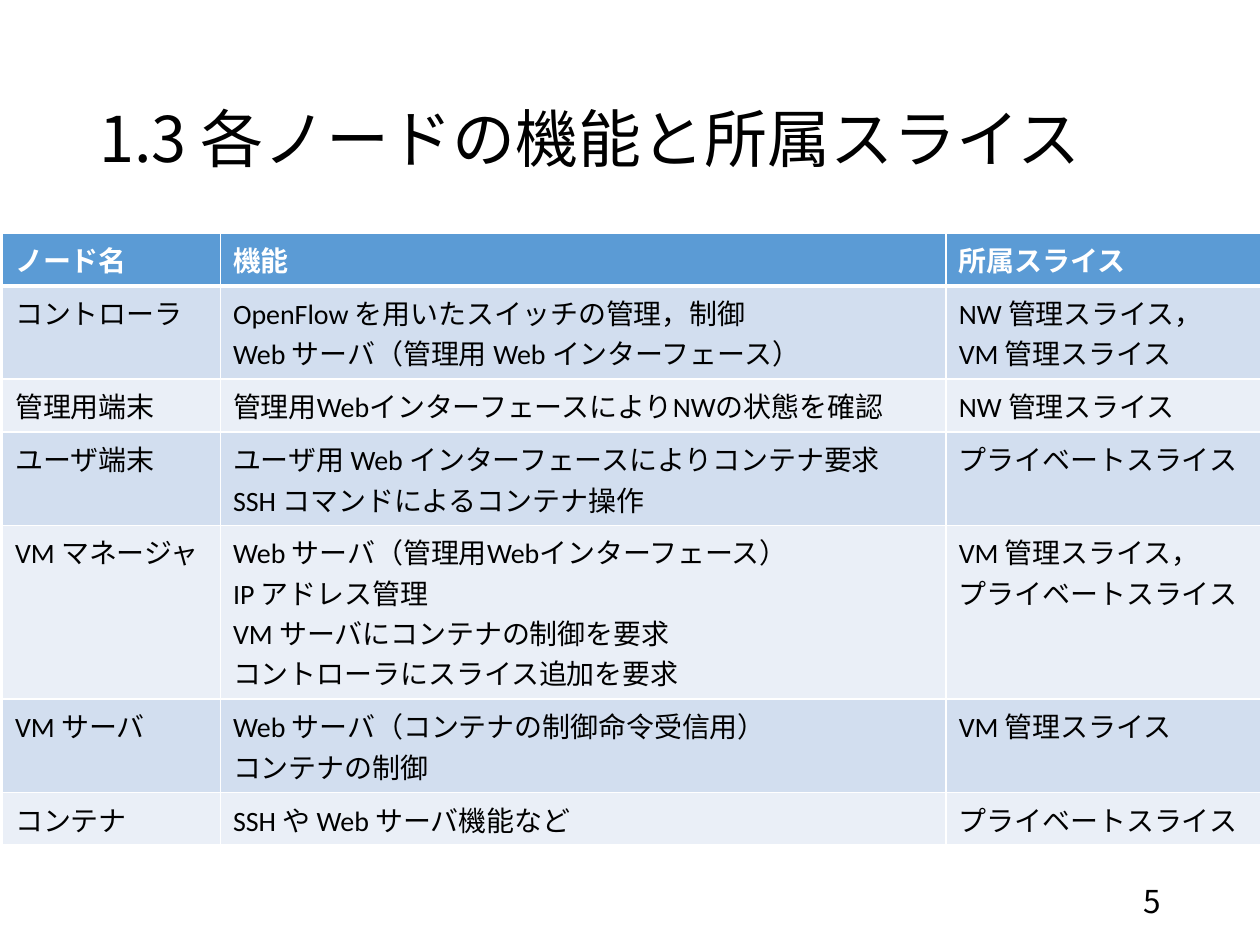
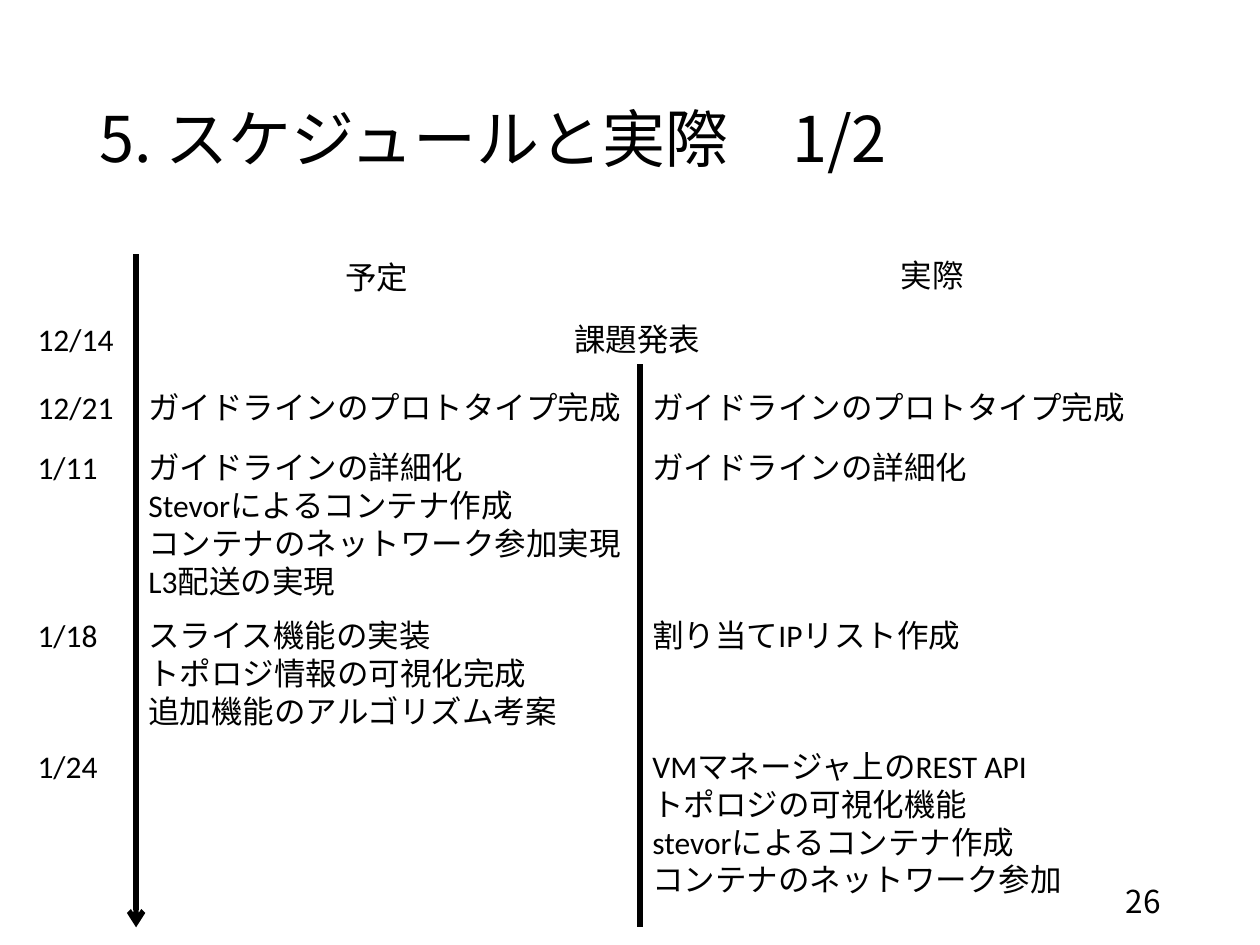
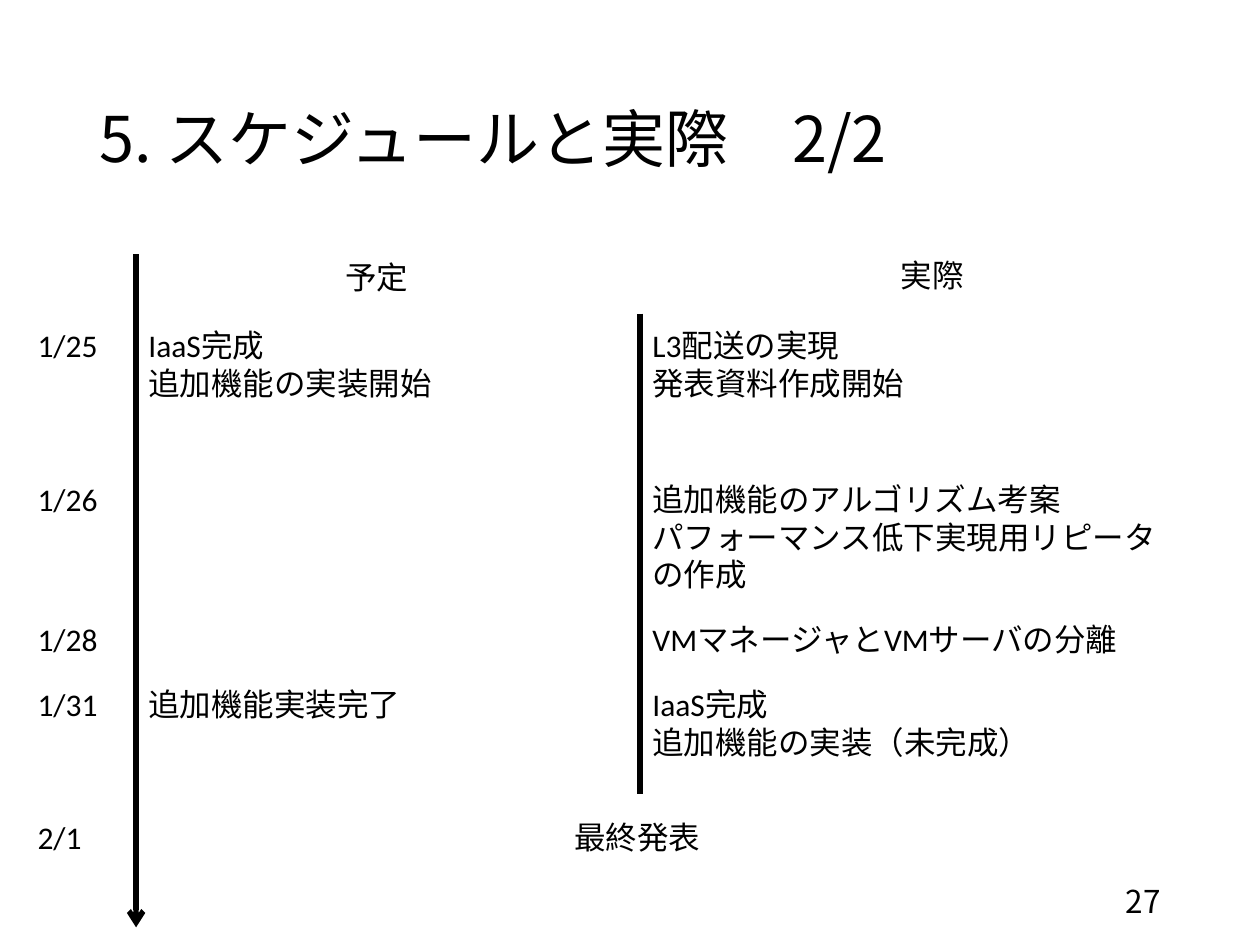
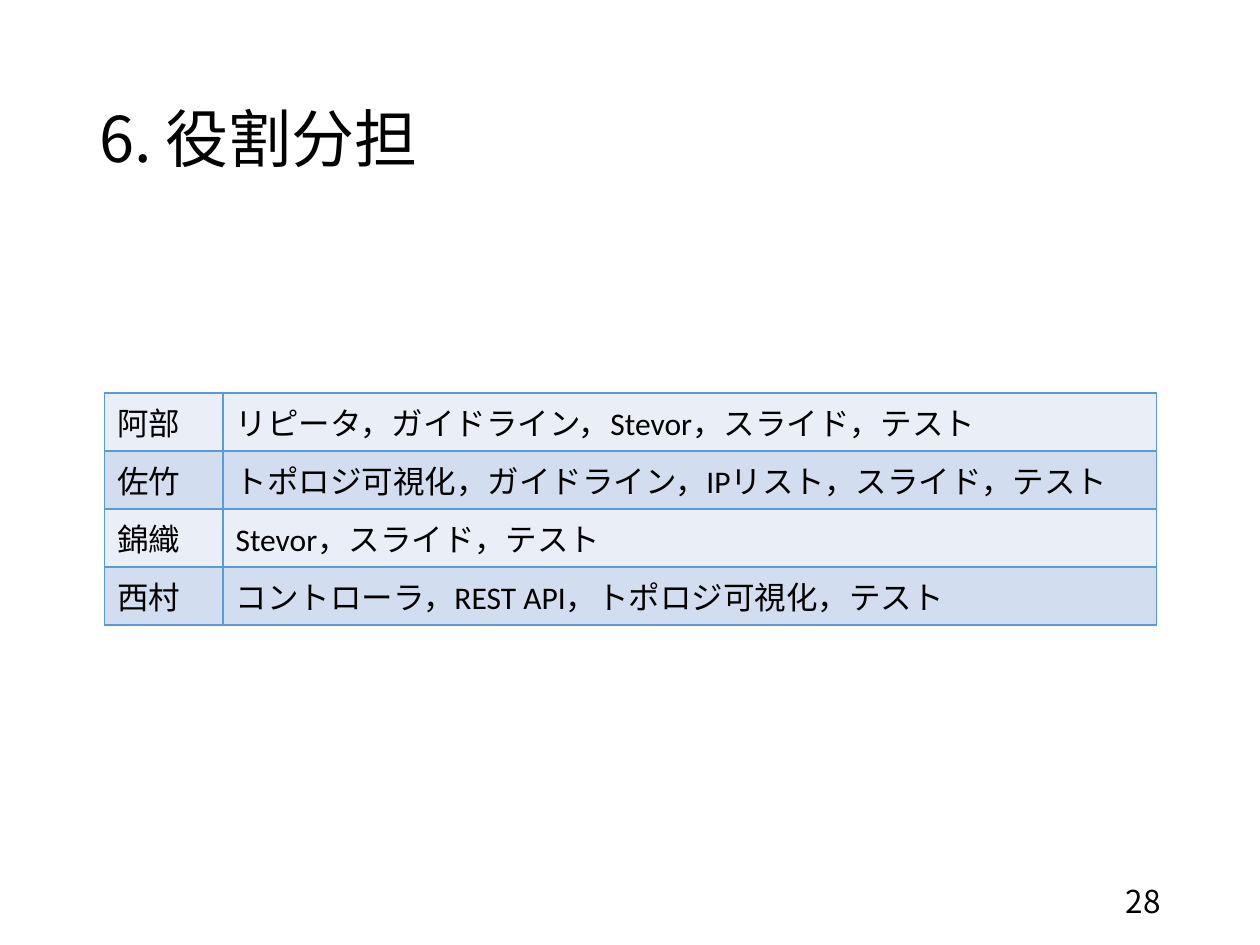
from lxml.etree import SubElement
from pptx import Presentation
from pptx.dml.color import RGBColor
from pptx.enum.shapes import MSO_CONNECTOR as Connector
from pptx.enum.text import MSO_ANCHOR as Anchor, MSO_AUTO_SIZE as AutoSize, PP_ALIGN as Align
from pptx.oxml.ns import qn
from pptx.util import Inches, Pt

# Slide grid: 10 columns by 7.5 rows of square cells
CELL = Inches(1)
COLUMNS, ROWS = 10, 7.5

BLACK = RGBColor(0x00, 0x00, 0x00)
WHITE = RGBColor(0xFF, 0xFF, 0xFF)
BLUE = RGBColor(0x5B, 0x9B, 0xD5)
BAND_DARK = RGBColor(0xD2, 0xDE, 0xEF)
BAND_LIGHT = RGBColor(0xEA, 0xEF, 0xF7)

BODY_FONT = "Calibri"
JAPANESE_FONT = "Noto Sans CJK JP"

# Columns of the schedule
DATE_X, PLAN_X, ACTUAL_X, MILESTONE_X = 0.2, 1.08, 5.08, 4.46
LABEL_WIDTH, PLAN_WIDTH, ACTUAL_WIDTH = 1.24, 4, 4.33
SCHEDULE_TOP, SCHEDULE_BOTTOM = 2.02, 7.36

# "\n" starts a paragraph, "\v" breaks a line within one
NODES = [
    ("ノード名", "機能", "所属スライス"),
    ("コントローラ",
     "OpenFlow を用いたスイッチの管理，制御\nWeb サーバ（管理用 Web インターフェース）",
     "NW 管理スライス，\vVM 管理スライス"),
    ("管理用端末", "管理用WebインターフェースによりNWの状態を確認", "NW 管理スライス"),
    ("ユーザ端末",
     "ユーザ用 Web インターフェースによりコンテナ要求\nSSH コマンドによるコンテナ操作",
     "プライベートスライス"),
    ("VM マネージャ",
     "Web サーバ（管理用Webインターフェース）\nIP アドレス管理\n"
     "VM サーバにコンテナの制御を要求\nコントローラにスライス追加を要求",
     "VM 管理スライス，\vプライベートスライス"),
    ("VM サーバ", "Web サーバ（コンテナの制御命令受信用）\nコンテナの制御", "VM 管理スライス"),
    ("コンテナ", "SSH や Web サーバ機能など", "プライベートスライス"),
]

# Row on the grid, date, planned work, actual work
DECEMBER_EVENTS = [
    (3.03, "12/21", "ガイドラインのプロトタイプ完成", "ガイドラインのプロトタイプ完成"),
    (3.51, "1/11",
     "ガイドラインの詳細化\vStevorによるコンテナ作成\nコンテナのネットワーク参加実現L3配送の実現",
     "ガイドラインの詳細化"),
    (4.84, "1/18",
     "スライス機能の実装\nトポロジ情報の可視化完成\n追加機能のアルゴリズム考案",
     "割り当てIPリスト作成"),
    (5.88, "1/24", "",
     "VMマネージャ上のREST API\vトポロジの可視化機能\v"
     "stevorによるコンテナ作成\vコンテナのネットワーク参加"),
]
JANUARY_EVENTS = [
    (2.54, "1/25", "IaaS完成\n追加機能の実装開始", "L3配送の実現\n発表資料作成開始"),
    (3.76, "1/26", "",
     "追加機能のアルゴリズム考案\nパフォーマンス低下実現用リピータの作成"),
    (4.87, "1/28", "", "VMマネージャとVMサーバの分離"),
    (5.39, "1/31", "追加機能実装完了", "IaaS完成\v追加機能の実装（未完成）"),
]

MEMBERS = [
    ("阿部", "リピータ，ガイドライン，Stevor，スライド，テスト"),
    ("佐竹", "トポロジ可視化，ガイドライン，IPリスト，スライド，テスト"),
    ("錦織", "Stevor，スライド，テスト"),
    ("西村", "コントローラ，REST API，トポロジ可視化，テスト"),
]


def grid(length):
    return int(length * CELL)


def count_lines(text):
    return 1 + text.count("\n") + text.count("\v")


def write(frame, text, size, font=BODY_FONT, color=BLACK, bold=False,
          align=Align.LEFT, spacing=None):
    frame.text = text
    for paragraph in frame.paragraphs:
        paragraph.alignment = align
        paragraph.line_spacing = spacing
        for run in paragraph.runs:
            run.font.size = Pt(size)
            run.font.name = font
            run.font.bold = bold
            run.font.color.rgb = color
            SubElement(run.font._element, qn("a:ea"), typeface=JAPANESE_FONT)


def add_text(slide, x, y, width, height, text, size=18, anchor=Anchor.TOP, **style):
    frame = slide.shapes.add_textbox(*map(grid, (x, y, width, height))).text_frame
    frame.word_wrap = True
    frame.vertical_anchor = anchor
    write(frame, text, size, **style)
    return frame


def add_note(slide, x, y, width, text):
    frame = add_text(slide, x, y, width, 0.1 + 0.3 * count_lines(text), text)
    frame.auto_size = AutoSize.SHAPE_TO_FIT_TEXT


def add_page(deck, title, number):
    """Blank slide with the shared title and page number."""
    slide = deck.slides.add_slide(deck.slide_layouts[6])
    add_text(slide, 0.69, 0.4, 8.62, 1.45, title, 36, Anchor.MIDDLE,
             font=JAPANESE_FONT, spacing=0.9)
    add_text(slide, 7.06, 6.95, 2.25, 0.4, str(number), 18, Anchor.MIDDLE,
             font=JAPANESE_FONT, align=Align.RIGHT)
    return slide


def add_rule(slide, x, top, bottom, arrow=False):
    rule = slide.shapes.add_connector(
        Connector.STRAIGHT, *map(grid, (x, top, x, bottom)))
    rule.line.color.rgb = BLACK
    rule.line.width = Pt(3)
    if arrow:
        SubElement(rule.line._get_or_add_ln(), qn("a:tailEnd"), type="arrow")
    SubElement(rule._element.spPr, qn("a:effectLst"))


def set_borders(cell, color, top=1, bottom=1):
    properties = cell._tc.get_or_add_tcPr()
    for side, width in (("L", 1), ("R", 1), ("T", top), ("B", bottom)):
        border = SubElement(properties, qn("a:ln" + side), w=str(Pt(width)))
        fill = SubElement(border, qn("a:solidFill"))
        SubElement(fill, qn("a:srgbClr"), val=str(color))


def add_banded_table(slide, x, y, widths, rows, size, border, header=False):
    heights = [0.1 + 0.02 * size * max(map(count_lines, row)) for row in rows]
    table = slide.shapes.add_table(
        len(rows), len(widths), *map(grid, (x, y, sum(widths), sum(heights)))).table
    table.first_row = header
    for column, width in zip(table.columns, widths):
        column.width = grid(width)
    for r, (row, height) in enumerate(zip(rows, heights)):
        table.rows[r].height = grid(height)
        heading = header and r == 0
        band = BLUE if heading else (BAND_LIGHT, BAND_DARK)[r % 2]
        for c, text in enumerate(row):
            cell = table.cell(r, c)
            # The rule under the heading is thicker
            set_borders(cell, border, top=3 if header and r == 1 else 1,
                        bottom=3 if heading else 1)
            cell.fill.solid()
            cell.fill.fore_color.rgb = band
            write(cell.text_frame, text, size, bold=heading,
                  color=WHITE if heading else BLACK)


def add_schedule(slide, events, divider, milestone):
    # Time axis, divider and column headings
    add_rule(slide, PLAN_X, SCHEDULE_TOP, SCHEDULE_BOTTOM, arrow=True)
    add_rule(slide, ACTUAL_X, *divider)
    add_note(slide, 2.64, 2, LABEL_WIDTH, "予定")
    add_note(slide, 7.05, 1.98, LABEL_WIDTH, "実際")
    # Milestone shared by both columns
    y, date, event = milestone
    add_note(slide, DATE_X, y, LABEL_WIDTH, date)
    add_note(slide, MILESTONE_X, y, LABEL_WIDTH, event)
    # Dated work
    for y, date, planned, actual in events:
        add_note(slide, DATE_X, y, LABEL_WIDTH, date)
        if planned:
            add_note(slide, PLAN_X, y, PLAN_WIDTH, planned)
        add_note(slide, ACTUAL_X, y, ACTUAL_WIDTH, actual)


def main():
    deck = Presentation()
    deck.slide_width, deck.slide_height = grid(COLUMNS), grid(ROWS)

    nodes = add_page(deck, "1.3 各ノードの機能と所属スライス", 5)
    add_banded_table(nodes, 0.02, 1.85, (1.73, 5.76, 2.5), NODES, 16, WHITE, header=True)

    first_half = add_page(deck, "5. スケジュールと実際\t\t1/2", 26)
    add_schedule(first_half, DECEMBER_EVENTS, (2.89, SCHEDULE_BOTTOM),
                 (2.49, "12/14", "課題発表"))

    second_half = add_page(deck, "5. スケジュールと実際\t\t2/2", 27)
    add_schedule(second_half, JANUARY_EVENTS, (2.49, 6.3), (6.44, "2/1", "最終発表"))

    roles = add_page(deck, "6. 役割分担", 28)
    add_banded_table(roles, 0.83, 3.12, (0.94, 7.41), MEMBERS, 18, BLUE)

    deck.save("out.pptx")


if __name__ == "__main__":
    main()
